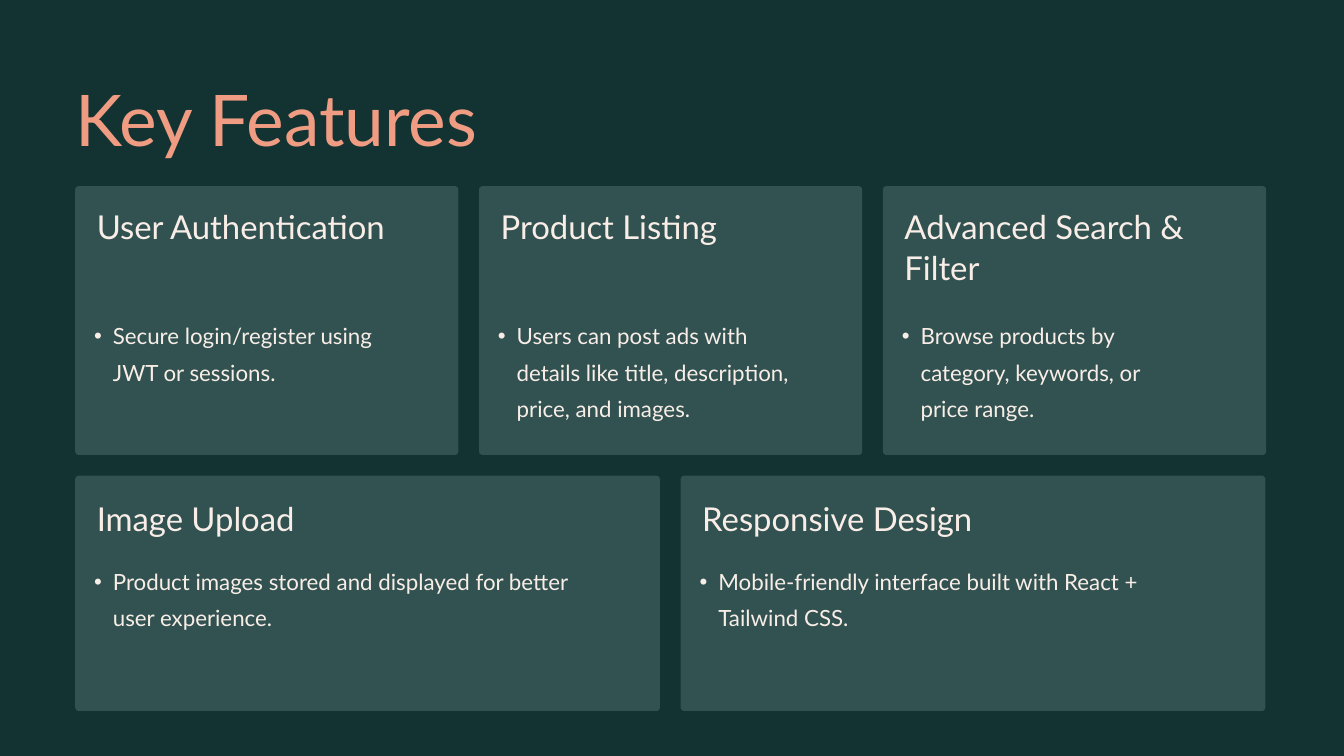
"""Build the Key Features slide: three feature cards above two wider ones."""
import pptx
import pptx.dml.color
import pptx.enum.shapes
import pptx.oxml.ns
import pptx.util
from lxml import etree

Inches = pptx.util.Inches
Pt = pptx.util.Pt
RGBColor = pptx.dml.color.RGBColor

DARK_GREEN = RGBColor(0x12, 0x33, 0x32)
CARD_GREEN = RGBColor(0x31, 0x52, 0x51)
CORAL = RGBColor(0xEF, 0x9C, 0x82)
CREAM = RGBColor(0xF9, 0xEE, 0xE7)

LEFT = 1.12
GAP = 0.31
CORNER = 0.05
HEADING_INSET = 0.32

ROWS = [
    {
        "top": 2.77, "width": 5.7, "height": 4, "heading_top": 3.06, "body_top": 4.66,
        "cards": [
            ("User Authentication", 5.07, "Secure login/register using JWT or sessions.", 4.5, 1.02),
            ("Product Listing", 3.66,
             "Users can post ads with details like title, description, price, and images.", 4.77, 1.56),
            ("Advanced Search & Filter", 4.47,
             "Browse products by category, keywords, or price range.", 4.5, 1.56),
        ],
    },
    {
        "top": 7.08, "width": 8.7, "height": 3.5, "heading_top": 7.4, "body_top": 8.31,
        "cards": [
            ("Image Upload", 3.83,
             "Product images stored and displayed for better user experience.", 7.37, 1.02),
            ("Responsive Design", 4.43,
             "Mobile-friendly interface built with React + Tailwind CSS.", 7.51, 1.02),
        ],
    },
]


def add_text(page, text, left, top, width, height, size, spacing, color, bullet=False):
    box = page.shapes.add_textbox(Inches(left), Inches(top), Inches(width), Inches(height))
    frame = box.text_frame
    frame.margin_left = frame.margin_top = frame.margin_right = frame.margin_bottom = 0
    frame.word_wrap = True
    frame.text = text
    para = frame.paragraphs[0]
    para.line_spacing = Pt(spacing)
    if bullet:
        para.level = 1
        properties = para._p.get_or_add_pPr()
        properties.set("marL", str(Inches(0.56)))
        properties.set("indent", str(Inches(-0.28)))
        font = etree.SubElement(properties, pptx.oxml.ns.qn("a:buFont"))
        font.set("typeface", "Arial")
        etree.SubElement(properties, pptx.oxml.ns.qn("a:buChar")).set("char", "•")
    span = para.runs[0]
    span.font.name = "Lato"
    span.font.size = Pt(size)
    span.font.color.rgb = color


deck = pptx.Presentation()
deck.slide_width = Inches(20)
deck.slide_height = Inches(11.25)
page = deck.slides.add_slide(deck.slide_layouts[6])
page.background.fill.solid()
page.background.fill.fore_color.rgb = DARK_GREEN

add_text(page, "Key Features", LEFT, 1.07, 6.65, 1.32, 76.3, 95.7, CORAL)

for row in ROWS:
    for column, (heading, heading_width, body, body_width, body_height) in enumerate(row["cards"]):
        left = LEFT + column * (row["width"] + GAP)
        card = page.shapes.add_shape(
            pptx.enum.shapes.MSO_SHAPE.ROUNDED_RECTANGLE,
            Inches(left), Inches(row["top"]), Inches(row["width"]), Inches(row["height"]))
        card.adjustments[0] = CORNER / row["height"]
        card.shadow.inherit = False
        card.fill.solid()
        card.fill.fore_color.rgb = CARD_GREEN
        card.line.fill.background()
        heading_height = 1.21 if heading.startswith("Advanced") else 0.61
        add_text(page, heading, left + HEADING_INSET, row["heading_top"],
                 heading_width, heading_height, 35.2, 43.6, CREAM)
        add_text(page, body, left, row["body_top"], body_width, body_height,
                 23.9, 38.9, CREAM, bullet=True)

deck.save("out.pptx")
